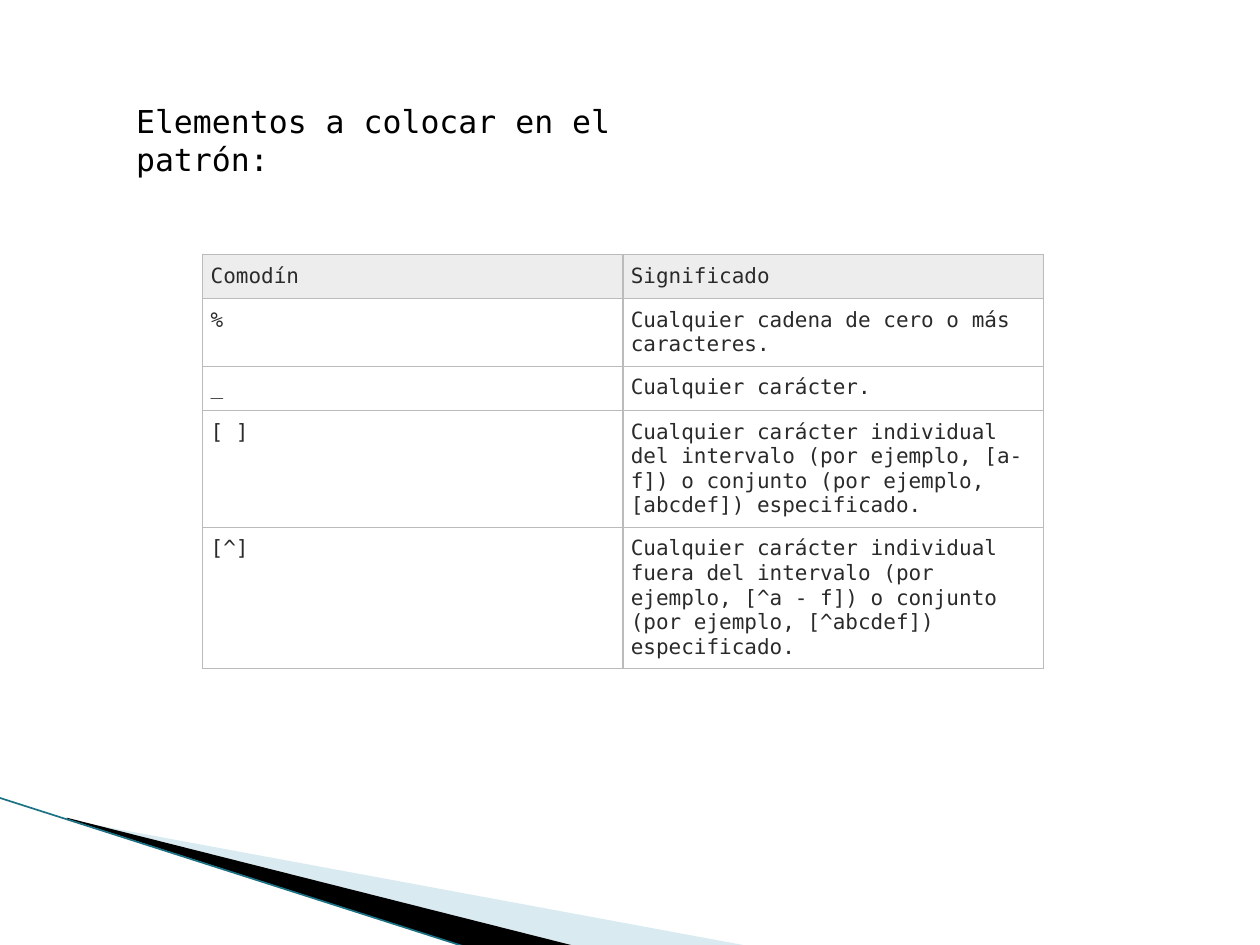
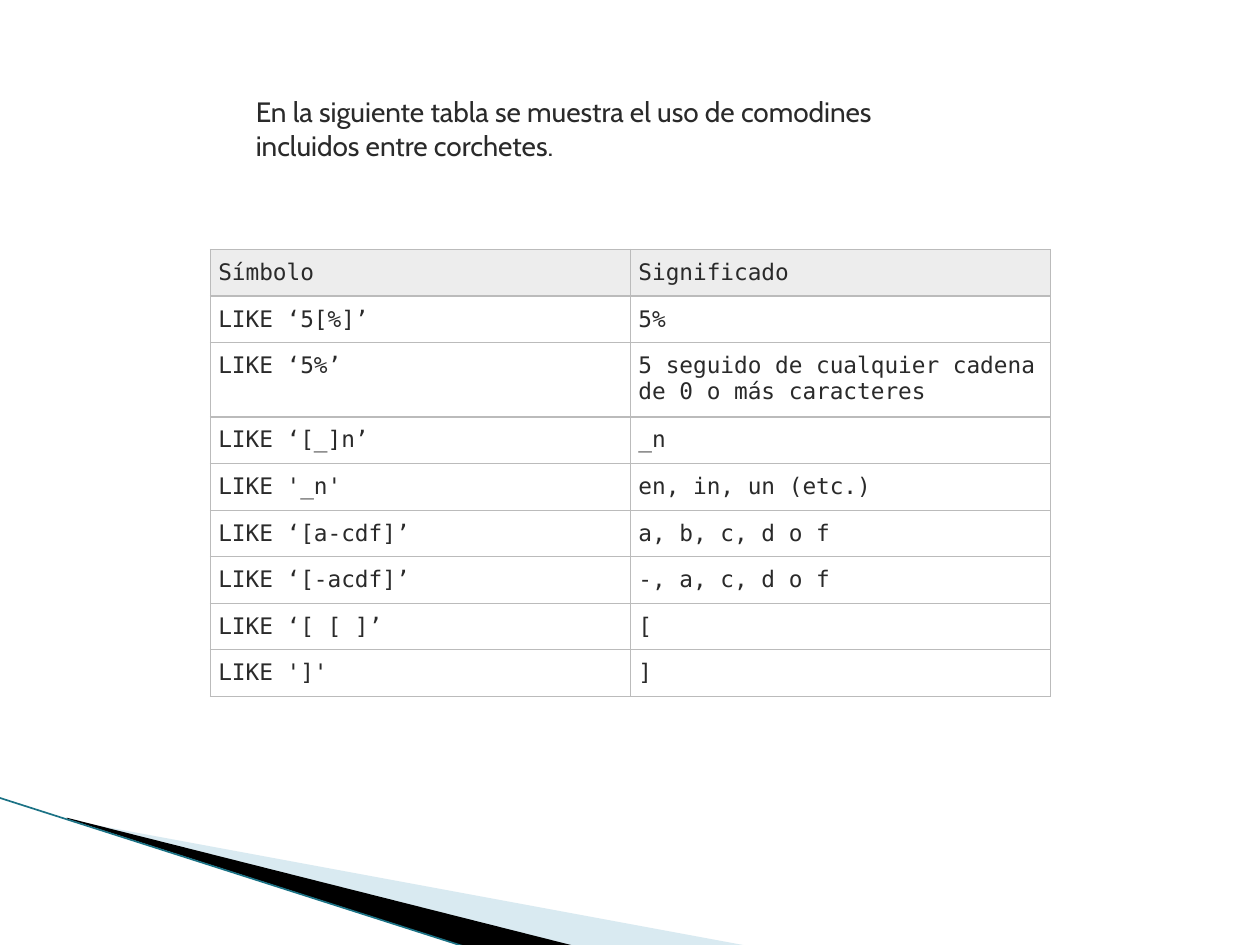
from lxml import etree
from pptx import Presentation
from pptx.dml.color import RGBColor
from pptx.enum.shapes import MSO_CONNECTOR
from pptx.enum.text import MSO_ANCHOR, MSO_AUTO_SIZE, PP_ALIGN
from pptx.oxml.ns import qn
from pptx.util import Inches, Pt

TOP, MIDDLE = MSO_ANCHOR.TOP, MSO_ANCHOR.MIDDLE
LEFT = PP_ALIGN.LEFT
NO_AUTOFIT = MSO_AUTO_SIZE.NONE
STRAIGHT = MSO_CONNECTOR.STRAIGHT

WIDTH, HEIGHT = Inches(10), Inches(7.5)
TITLE_ONLY = 5
MONO, SANS = "DejaVu Sans Mono", "Cabin"
COLORS = {
    "black": "000000",
    "text": "2A2A2A",
    "header": "EDEDED",
    "border": "BBBBBB",
    "pale_band": "A0CBDC",
    "edge": "1B7285",
}

PALE_BAND = [(5.5, 86.8), (59.5, 100.13), (45.6, 100.13), (5.5, 86.67)]
DARK_BAND = [(5.3, 86.53), (45.7, 100.13), (37.2, 100.27), (5.4, 86.67)]
EDGE = [(-0.1, 84.4), (37.1, 100.27)]

WILDCARDS = [
    ("Comodín", "Significado"),
    ("%", "Cualquier cadena de cero o más caracteres."),
    ("_", "Cualquier carácter."),
    ("[ ]", "Cualquier carácter individual del intervalo (por ejemplo, [a-f]) "
            "o conjunto (por ejemplo, [abcdef]) especificado."),
    ("[^]", "Cualquier carácter individual fuera del intervalo (por ejemplo, "
            "[^a - f]) o conjunto (por ejemplo, [^abcdef]) especificado."),
]
BRACKETS = [
    ("Símbolo", "Significado"),
    ("LIKE ‘5[%]’", "5%"),
    ("LIKE ‘5%’", "5 seguido de cualquier cadena de 0 o más caracteres"),
    ("LIKE ‘[_]n’", "_n"),
    ("LIKE '_n'", "en, in, un (etc.)"),
    ("LIKE ‘[a-cdf]’", "a, b, c, d o f"),
    ("LIKE ‘[-acdf]’", "-, a, c, d o f"),
    ("LIKE ‘[ [ ]’", "["),
    ("LIKE ']'", "]"),
]


def across(percent):
    return round(WIDTH * percent / 100)


def down(percent):
    return round(HEIGHT * percent / 100)


def point(position):
    return across(position[0]), down(position[1])


def color(name):
    return RGBColor.from_string(COLORS[name])


def write(text_frame, text, size, font=MONO, ink="text"):
    paragraph = text_frame.paragraphs[0]
    paragraph.alignment = LEFT
    run = paragraph.add_run()
    run.text = text
    run.font.size = Pt(size)
    run.font.name = font
    run.font.color.rgb = color(ink)


def add_band(slide, corners, fill, opacity=100):
    start, *others = [point(corner) for corner in corners]
    builder = slide.shapes.build_freeform(*start)
    builder.add_line_segments(others, close=True)
    shape = builder.convert_to_shape()
    shape.shadow.inherit = False
    shape.fill.solid()
    shape.fill.fore_color.rgb = color(fill)
    shape.line.fill.background()
    if opacity < 100:
        tint = shape.element.spPr.find(qn("a:solidFill")).find(qn("a:srgbClr"))
        etree.SubElement(tint, qn("a:alpha"), val=str(opacity * 1000))
    return shape


def add_edge(slide):
    start, end = [point(position) for position in EDGE]
    connector = slide.shapes.add_connector(STRAIGHT, *start, *end)
    connector.line.color.rgb = color("edge")
    connector.line.width = Pt(0.95)
    etree.SubElement(connector.element.spPr, qn("a:effectLst"))
    return connector


def decorate_layout(layout, slide):
    decorations = [
        add_band(slide, PALE_BAND, "pale_band", opacity=40),
        add_band(slide, DARK_BAND, "black"),
        add_edge(slide),
    ]
    for shape in decorations:
        layout.shapes.element.append(shape.element)


def set_title(slide, text, left, top, width, height, anchor=TOP, **style):
    title = slide.shapes.title
    title.left, title.top = across(left), down(top)
    title.width, title.height = across(width), down(height)
    text_frame = title.text_frame
    text_frame.word_wrap = True
    text_frame.auto_size = NO_AUTOFIT
    text_frame.vertical_anchor = anchor
    write(text_frame, text, **style)


def add_borders(cell):
    properties = cell._tc.get_or_add_tcPr()
    for index, side in enumerate(("lnL", "lnR", "lnT", "lnB")):
        border = etree.Element(qn("a:" + side), w=str(Pt(0.75)))
        fill = etree.SubElement(border, qn("a:solidFill"))
        etree.SubElement(fill, qn("a:srgbClr"), val=COLORS["border"])
        properties.insert(index, border)


def format_cell(cell, text, size, padding, header):
    cell.margin_left = cell.margin_right = Pt(4.5)
    cell.margin_top = cell.margin_bottom = Pt(padding)
    cell.vertical_anchor = MIDDLE if header else TOP
    if header:
        cell.fill.solid()
        cell.fill.fore_color.rgb = color("header")
    else:
        cell.fill.background()
    add_borders(cell)
    write(cell.text_frame, text, size)


def add_grid(slide, rows, left, top, heights, size, padding):
    frame = slide.shapes.add_table(len(rows), 2, across(left), down(top),
                                   across(66.7), down(sum(heights)))
    table = frame.table
    table.first_row = table.horz_banding = False
    for row_index, (texts, height) in enumerate(zip(rows, heights)):
        table.rows[row_index].height = down(height)
        for column_index, text in enumerate(texts):
            format_cell(table.cell(row_index, column_index), text, size,
                        padding, header=row_index == 0)


def main():
    presentation = Presentation()
    presentation.slide_width, presentation.slide_height = WIDTH, HEIGHT
    layout = presentation.slide_layouts[TITLE_ONLY]

    slide = presentation.slides.add_slide(layout)
    decorate_layout(layout, slide)
    set_title(slide, "Elementos a colocar en el patrón:",
              9.8, 10.13, 48.8, 9.2, size=18, ink="black")
    add_grid(slide, WILDCARDS, 16.1, 26.93,
             [4.67] * 3 + [10.13] * 2, size=12, padding=5.25)

    slide = presentation.slides.add_slide(layout)
    set_title(slide, "En la siguiente tabla se muestra el uso de comodines "
              "incluidos entre corchetes.",
              19.3, 9.33, 59.1, 8.53, anchor=MIDDLE, size=16, font=SANS)
    add_grid(slide, BRACKETS, 16.7, 26.4,
             [4.93] * 2 + [7.87] + [4.93] * 6, size=13, padding=5.75)

    presentation.save("out.pptx")


main()
